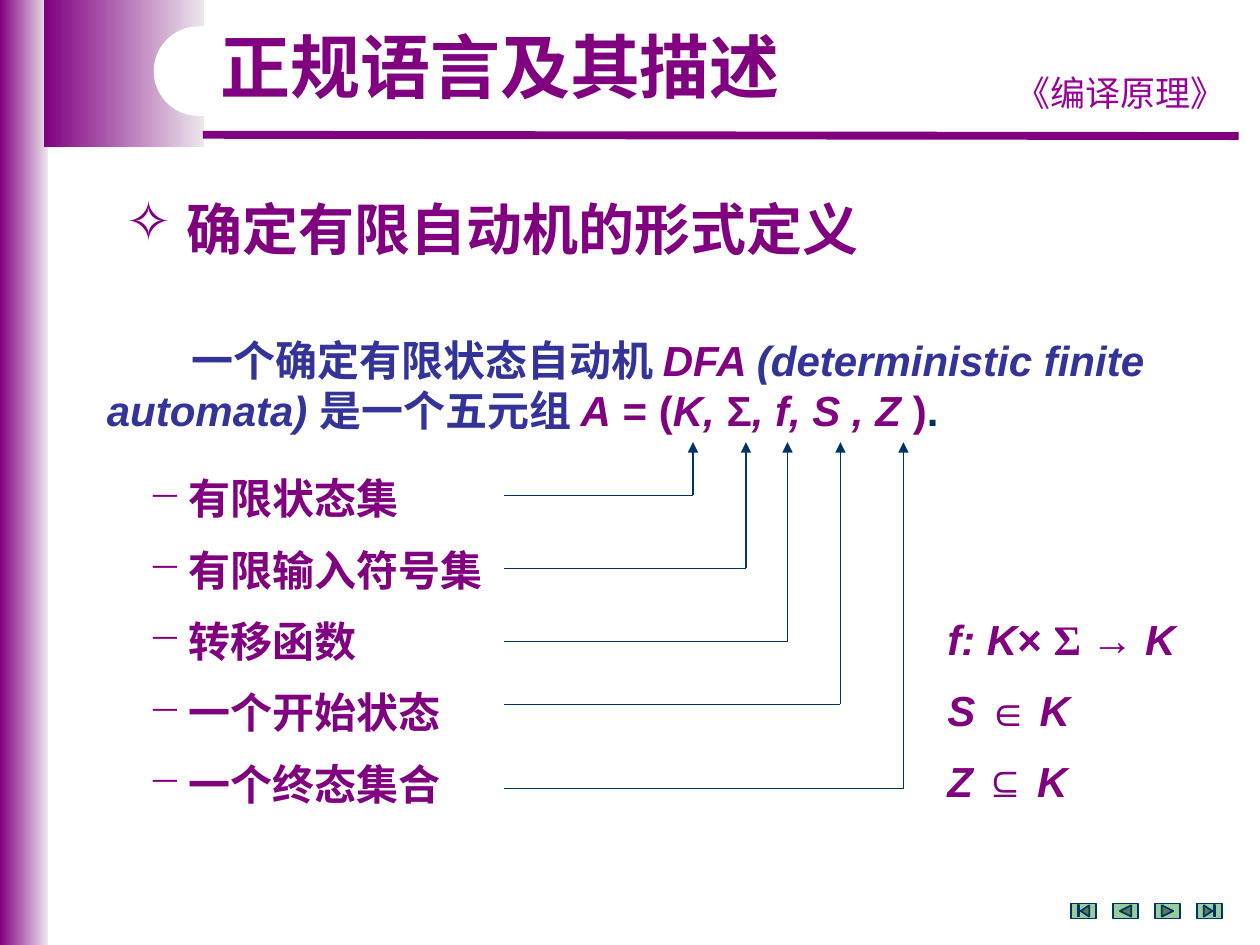
"""Builds a slide that defines a deterministic finite automaton."""
from lxml import etree
from pptx import Presentation, util as u
from pptx.dml.color import RGBColor
from pptx.enum import shapes, text
from pptx.oxml.ns import qn

COLORS = {"purple": "800080", "pale": "EDE7ED", "violet": "990099", "blue": "333399",
          "navy": "003366", "green": "99CC99", "white": "FFFFFF"}
RGB = {name: RGBColor.from_string(value) for name, value in COLORS.items()}
CJK, LATIN, SERIF = "Noto Sans CJK SC", "Arial", "Times New Roman"


def add_span(para, words, size=24, font=LATIN, color="purple", bold=True, italic=False):
    span = para.add_run()
    span.text = words
    span.font.size, span.font.name = u.Pt(size), font
    span.font.bold, span.font.italic = bold, italic
    span.font.color.rgb = RGB[color]
    etree.SubElement(span.font._element, qn("a:ea"), typeface=CJK)


def add_paras(box, rows, spacing=None, gap=0, bullet=None, hang=0, first=0,
              align=text.PP_ALIGN.LEFT):
    frame = box.text_frame
    frame.word_wrap = True
    for index, spans in enumerate(rows):
        para = frame.paragraphs[0] if index == 0 else frame.add_paragraph()
        props = para._p.get_or_add_pPr()
        indent = -hang if bullet else first if index == 0 else 0
        props.set("marL", str(u.Inches(hang)))
        props.set("indent", str(u.Inches(indent)))
        para.alignment = align
        if spacing:
            para.line_spacing = spacing
        if index and gap:
            para.space_before = u.Pt(gap)
        if bullet:
            bullet_color = etree.SubElement(props, qn("a:buClr"))
            etree.SubElement(bullet_color, qn("a:srgbClr"), val=COLORS["purple"])
            etree.SubElement(props, qn("a:buChar"), char=bullet)
        else:
            etree.SubElement(props, qn("a:buNone"))
        for words, style in spans:
            add_span(para, words, **style)


deck = Presentation()
deck.slide_width, deck.slide_height = u.Inches(10), u.Inches(7.5)
page = deck.slides.add_slide(deck.slide_layouts[5])

for left, width, height in [(0, 0.38, 7.5), (0.35, 1.27, 1.17)]:
    band = page.shapes.add_shape(shapes.MSO_SHAPE.RECTANGLE, u.Inches(left), 0,
                                 u.Inches(width), u.Inches(height))
    band.shadow.inherit = False
    band.line.fill.background()
    band.fill.gradient()
    band.fill.gradient_angle = 0
    for stop, color, position in zip(band.fill.gradient_stops, ["purple", "pale"], [0, 1]):
        stop.color.rgb, stop.position = RGB[color], position

lines = [(1.61, 1.07, 9.83, 1.08, "purple", 4.5, False)]
for target, level in [(5.5, 3.93), (5.92, 4.51), (6.25, 5.09), (6.67, 5.59), (7.17, 6.26)]:
    lines.append((4, level, target, level, "navy", 0.75, False))
    lines.append((target, level, target, 3.51, "navy", 0.75, True))
for x1, y1, x2, y2, color, weight, arrow in lines:
    line = page.shapes.add_connector(shapes.MSO_CONNECTOR.STRAIGHT, u.Inches(x1), u.Inches(y1),
                                     u.Inches(x2), u.Inches(y2))
    line.line.color.rgb, line.line.width = RGB[color], u.Pt(weight)
    if arrow:
        etree.SubElement(line.line._get_or_add_ln(), qn("a:tailEnd"), type="triangle")
    etree.SubElement(line._element.spPr, qn("a:effectLst"))

notch = page.shapes.add_shape(shapes.MSO_SHAPE.ROUNDED_RECTANGLE, u.Inches(1.22), u.Inches(0.21),
                              u.Inches(3.62), u.Inches(0.71))
notch.adjustments[0] = 0.5
notch.shadow.inherit = False
notch.fill.solid()
notch.fill.fore_color.rgb = RGB["white"]
notch.line.fill.background()

buttons = ["BEGINNING", "BACK_OR_PREVIOUS", "FORWARD_OR_NEXT", "END"]
for index, name in enumerate(buttons):
    button = page.shapes.add_shape(shapes.MSO_SHAPE["ACTION_BUTTON_" + name],
                                   u.Inches(8.5 + index / 3), u.Inches(7.17),
                                   u.Inches(0.2), u.Inches(0.12))
    button.shadow.inherit = False
    button.fill.solid()
    button.fill.fore_color.rgb = RGB["green"]
    button.line.color.rgb, button.line.width = RGB["navy"], u.Pt(1)

cjk, italic, blue = {"font": CJK}, {"italic": True}, {"color": "blue"}
blue_italic = blue | italic
parts = ["有限状态集", "有限输入符号集", "转移函数", "一个开始状态", "一个终态集合"]
definition = [
    [("一个确定有限状态自动机 ", blue), ("DFA ", italic), ("(deterministic finite", blue_italic)],
    [("automata) ", blue_italic), ("是一个五元组 ", blue), ("A", italic), (" = (", {}),
     ("K, ", italic), ("Σ", {}), (", f, S , Z ", italic), (")", {}), (".", {"color": "navy"})],
]
conditions = [
    [("f: K", italic), ("× ", {}), ("Σ ", {"font": SERIF}), ("→ ", {}), ("K", italic)],
    [("S ", italic), ("∈ ", {"font": SERIF}), ("K", italic)],
    [("Z ", italic), ("⊆ ", {"font": SERIF}), ("K", italic)],
]
course = [[("《编译原理》", {"size": 20, "font": "Comic Neue", "color": "violet", "bold": False})]]
heading = [[("确定有限自动机的形式定义", {"size": 32, "font": CJK})]]
blocks = [
    (7.91, 0.52, 1.97, 0.43, course, {"align": text.PP_ALIGN.CENTER}),
    (0.9, 1.46, 6.22, 0.63, heading, {"spacing": u.Pt(41), "bullet": "✧", "hang": 0.48}),
    (0.75, 2.6, 8.9, 0.91, definition, {"spacing": u.Pt(29), "first": 0.67}),
    (1.08, 3.66, 3.08, 2.76, [[(part, cjk)] for part in parts],
     {"spacing": u.Pt(32), "gap": 8.75, "bullet": "−", "hang": 0.32}),
    (7.42, 4.8, 2.42, 1.65, conditions, {"spacing": u.Pt(30), "gap": 10.75}),
]
for left, top, width, height, rows, style in blocks:
    box = page.shapes.add_textbox(u.Inches(left), u.Inches(top), u.Inches(width), u.Inches(height))
    add_paras(box, rows, **style)

title = page.shapes.title
title.left, title.top = u.Inches(1.61), u.Inches(0.21)
title.width, title.height = u.Inches(4.72), u.Inches(0.7)
title.text_frame.vertical_anchor = text.MSO_ANCHOR.MIDDLE
title.text_frame.auto_size = text.MSO_AUTO_SIZE.NONE
add_paras(title, [[("正规语言及其描述", {"size": 40, "font": CJK})]], spacing=0.9,
          align=text.PP_ALIGN.CENTER)
title.element.getparent().append(title.element)

deck.save("out.pptx")
